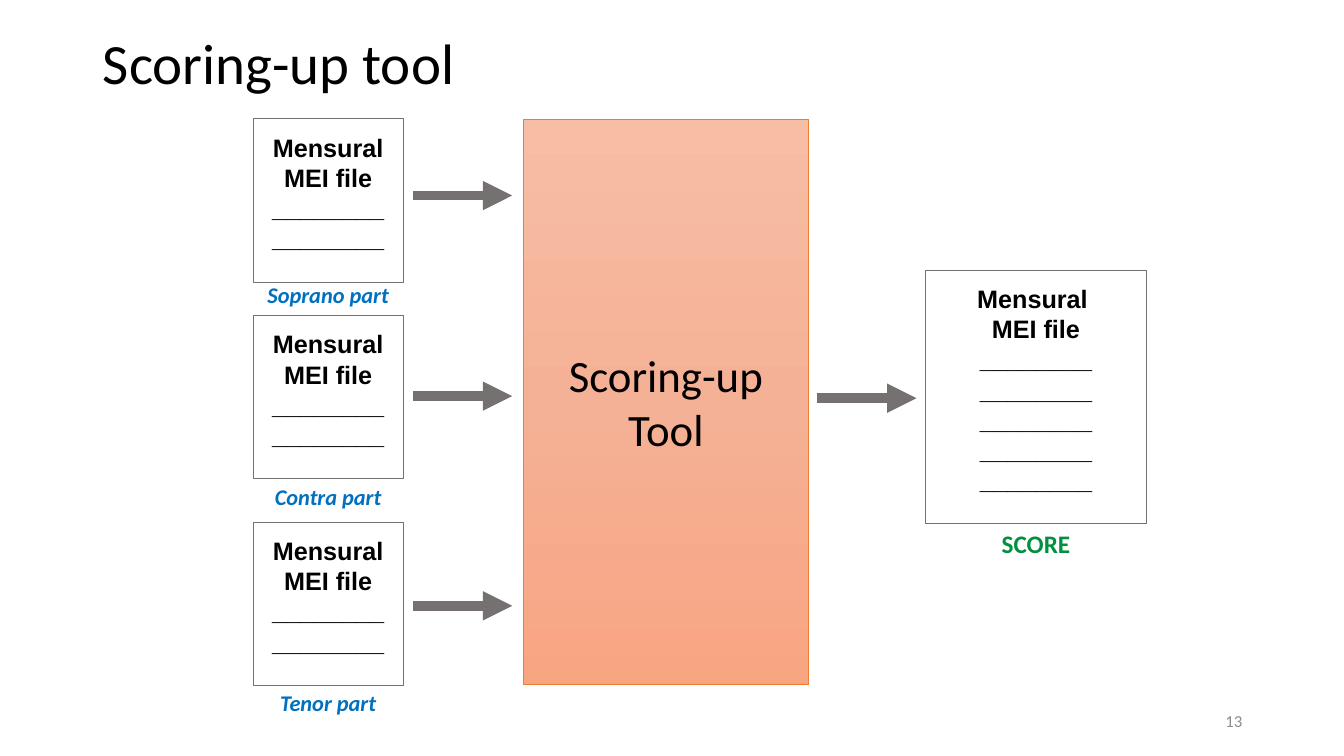
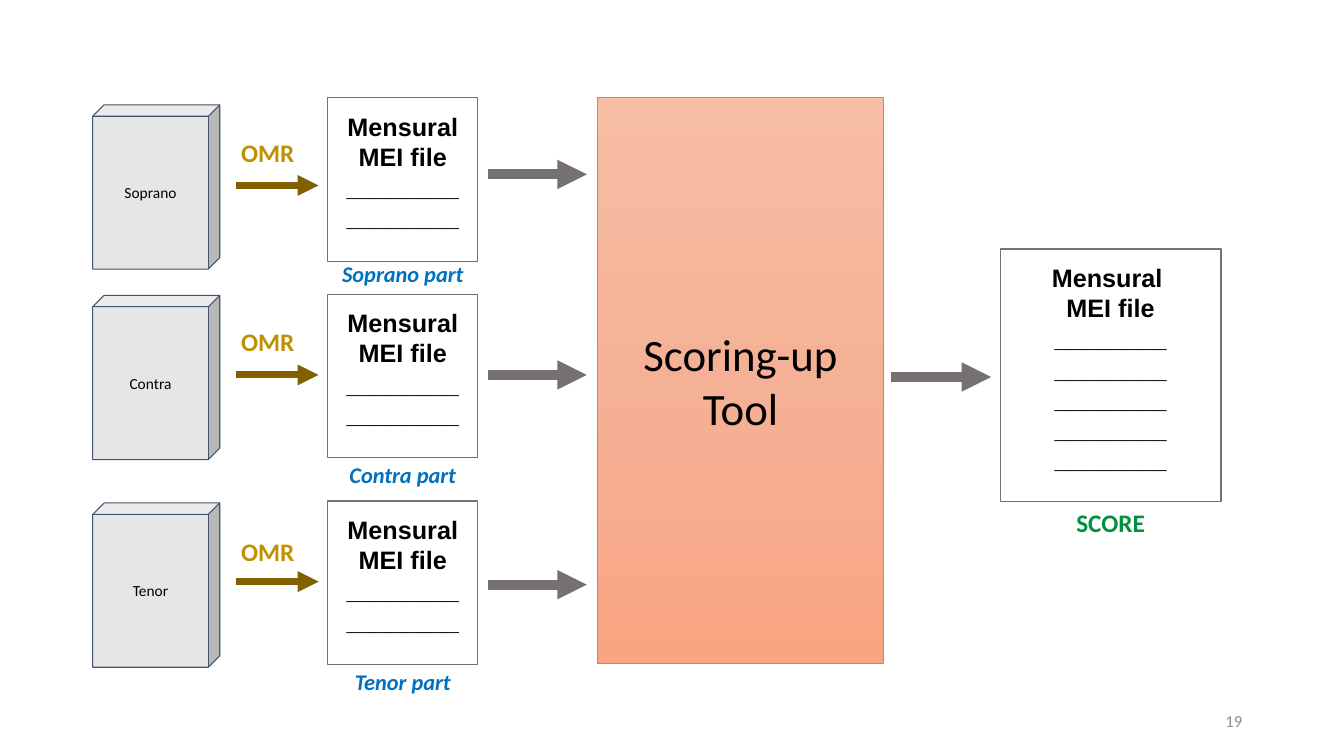
from copy import deepcopy
from dataclasses import dataclass, field
from typing import Optional

from pptx import Presentation
from pptx import util as u
from pptx.dml.color import RGBColor
from pptx.enum import shapes, text
from pptx.oxml import ns, xmlchemy

Inches, Pt = u.Inches, u.Pt
CENTER, LEFT, RIGHT = text.PP_ALIGN.CENTER, text.PP_ALIGN.LEFT, text.PP_ALIGN.RIGHT
TOP, MIDDLE = text.MSO_ANCHOR.TOP, text.MSO_ANCHOR.MIDDLE
TITLE_ONLY, BLANK = 5, 6


# Theme: colours, text formats and line weights
@dataclass(frozen=True)
class Theme:
    ink: str = "000000"
    grey: str = "767171"
    tool_line: str = "ED7D31"
    tool_stops: tuple = ((0, "F7BDA5"), (0.5, "F5B196"), (1, "F8A582"))
    book_fill: str = "E7E6E6"
    book_line: str = "44546A"
    omr_arrow: str = "806000"
    formats: dict = field(default_factory=lambda: {
        "title": dict(name="Calibri", size=Pt(40.7), color="000000"),
        "tool": dict(name="Calibri", size=Pt(32), color="000000"),
        "file": dict(name="Arial", size=Pt(18), bold=True, color="000000"),
        "part": dict(name="Calibri", size=Pt(16), bold=True, italic=True, color="0070C0"),
        "score": dict(name="Calibri", size=Pt(18), bold=True, color="00903F"),
        "omr": dict(name="Calibri", size=Pt(18), bold=True, color="BF9000"),
        "book": dict(name="Calibri", size=Pt(11), color="000000"),
        "number": dict(name="Calibri", size=Pt(12), color="8C8C8C"),
    })


THEME = Theme()


@dataclass(frozen=True)
class Box:
    left: float
    top: float
    width: float
    height: float

    def lengths(self) -> list:
        return [Inches(v) for v in (self.left, self.top, self.width, self.height)]


# One voice: heights of the scoring-up row, then of the recognition row
@dataclass(frozen=True)
class Part:
    name: str
    file_top: float
    caption_top: float
    arrow_y: float
    book_top: float
    omr_top: float
    omr_arrow_y: float


PARTS = (
    Part("Soprano", 1.18, 2.74, 1.94, 1.04, 1.28, 1.84),
    Part("Contra", 3.13, 4.74, 3.93, 2.93, 3.16, 3.72),
    Part("Tenor", 5.18, 6.79, 6.01, 4.99, 5.24, 5.77),
)
RULE = "________"


def write(shape, lines: list, style: str, align=CENTER, anchor=TOP,
          top: float = 0.05, spacing: Optional[float] = None) -> None:
    frame = shape.text_frame
    settings = dict(word_wrap=True, auto_size=text.MSO_AUTO_SIZE.NONE,
                    vertical_anchor=anchor, margin_top=Inches(top),
                    margin_bottom=Inches(0.05), margin_left=Inches(0.1),
                    margin_right=Inches(0.1))
    for key, value in settings.items():
        setattr(frame, key, value)
    for index, line in enumerate(lines):
        paragraph = frame.add_paragraph() if index else frame.paragraphs[0]
        paragraph.alignment = align
        if spacing:
            paragraph.line_spacing = spacing
        run = paragraph.add_run()
        run.text = line
        for key, value in THEME.formats[style].items():
            if key == "color":
                run.font.color.rgb = RGBColor.from_string(value)
            else:
                setattr(run.font, key, value)


def add_label(slide, box: Box, label: str, style: str, **layout) -> None:
    write(slide.shapes.add_textbox(*box.lengths()), [label], style, **layout)


def add_block(slide, kind, box: Box, line: str, weight: float = 0.75,
              fill: Optional[str] = None):
    block = slide.shapes.add_shape(kind, *box.lengths())
    block.shadow.inherit = False
    block.line.color.rgb = RGBColor.from_string(line)
    block.line.width = Pt(weight)
    if fill:
        block.fill.solid()
        block.fill.fore_color.rgb = RGBColor.from_string(fill)
    else:
        block.fill.background()
    return block


def add_arrow(slide, start: float, end: float, y: float, color: str, weight: float) -> None:
    arrow = slide.shapes.add_connector(shapes.MSO_CONNECTOR.STRAIGHT, Inches(start),
                                       Inches(y), Inches(end), Inches(y))
    arrow.line.color.rgb = RGBColor.from_string(color)
    arrow.line.width = Pt(weight)
    head = xmlchemy.OxmlElement("a:tailEnd")
    head.set("type", "triangle")
    arrow.line._get_or_add_ln().append(head)
    arrow._element.spPr.append(xmlchemy.OxmlElement("a:effectLst"))


def add_file(slide, box: Box, lines: list) -> None:
    page = add_block(slide, shapes.MSO_SHAPE.RECTANGLE, box, THEME.grey)
    write(page, lines, "file", top=0.13)


def add_tool(slide, box: Box) -> None:
    tool = add_block(slide, shapes.MSO_SHAPE.RECTANGLE, box, THEME.tool_line, 0.5)
    tool.fill.gradient()
    tool.fill.gradient_angle = 270
    stops = tool._element.spPr.find(".//" + ns.qn("a:gsLst"))
    stops.append(deepcopy(stops[0]))
    for stop, (position, color) in zip(tool.fill.gradient_stops, THEME.tool_stops):
        stop.position = position
        stop.color.rgb = RGBColor.from_string(color)
    write(tool, ["Scoring-up", "Tool"], "tool", anchor=MIDDLE)


def add_scoring_up(slide, dx: float = 0, dy: float = 0) -> None:
    """Part files, the tool and the resulting score, moved by dx and dy."""
    left = 2.51 + dx
    for part in PARTS:
        add_file(slide, Box(left, part.file_top + dy, 1.49, 1.62),
                 ["Mensural MEI file", RULE, RULE])
        add_label(slide, Box(left, part.caption_top + dy, 1.49, 0.37),
                  f"{part.name} part", "part")
        add_arrow(slide, 4.1 + dx, 5.08 + dx, part.arrow_y + dy, THEME.grey, 7)
    add_tool(slide, Box(5.19 + dx, 1.18 + dy, 2.83, 5.61))
    add_arrow(slide, 8.1 + dx, 9.09 + dx, 3.95 + dy, THEME.grey, 7)
    add_file(slide, Box(9.18 + dx, 2.68 + dy, 2.19, 2.51),
             ["Mensural ", "MEI file"] + [RULE] * 5)
    add_label(slide, Box(9.18 + dx, 5.19 + dy, 2.19, 0.4), "SCORE", "score")


def add_recognition(slide) -> None:
    """Part books and the OMR arrows that lead to the files."""
    for part in PARTS:
        book = add_block(slide, shapes.MSO_SHAPE.CUBE, Box(0.92, part.book_top, 1.26, 1.63),
                         THEME.book_line, fill=THEME.book_fill)
        book.adjustments[0] = 0.09
        write(book, [part.name], "book", anchor=MIDDLE)
        add_label(slide, Box(2.23, part.omr_top, 0.85, 0.46), "OMR", "omr", anchor=MIDDLE)
        add_arrow(slide, 2.34, 3.16, part.omr_arrow_y, THEME.omr_arrow, 5)


def add_slide(deck, number: int, title: Optional[str] = None):
    slide = deck.slides.add_slide(deck.slide_layouts[TITLE_ONLY if title else BLANK])
    if title:
        heading = slide.shapes.title
        (heading.left, heading.top,
         heading.width, heading.height) = Box(0.92, 0.4, 11.5, 0.6).lengths()
        write(heading, [title], "title", align=LEFT, anchor=MIDDLE, spacing=0.7)
    add_label(slide, Box(9.42, 6.95, 3, 0.4), str(number), "number",
              align=RIGHT, anchor=MIDDLE)
    return slide


def main() -> None:
    deck = Presentation()
    deck.slide_width, deck.slide_height = Inches(13.33), Inches(7.5)

    # Scoring-up alone
    add_scoring_up(add_slide(deck, 13, "Scoring-up tool"))

    # Recognition followed by scoring-up
    workflow = add_slide(deck, 19)
    add_recognition(workflow)
    add_scoring_up(workflow, dx=0.74, dy=-0.21)

    deck.save("out.pptx")


if __name__ == "__main__":
    main()
